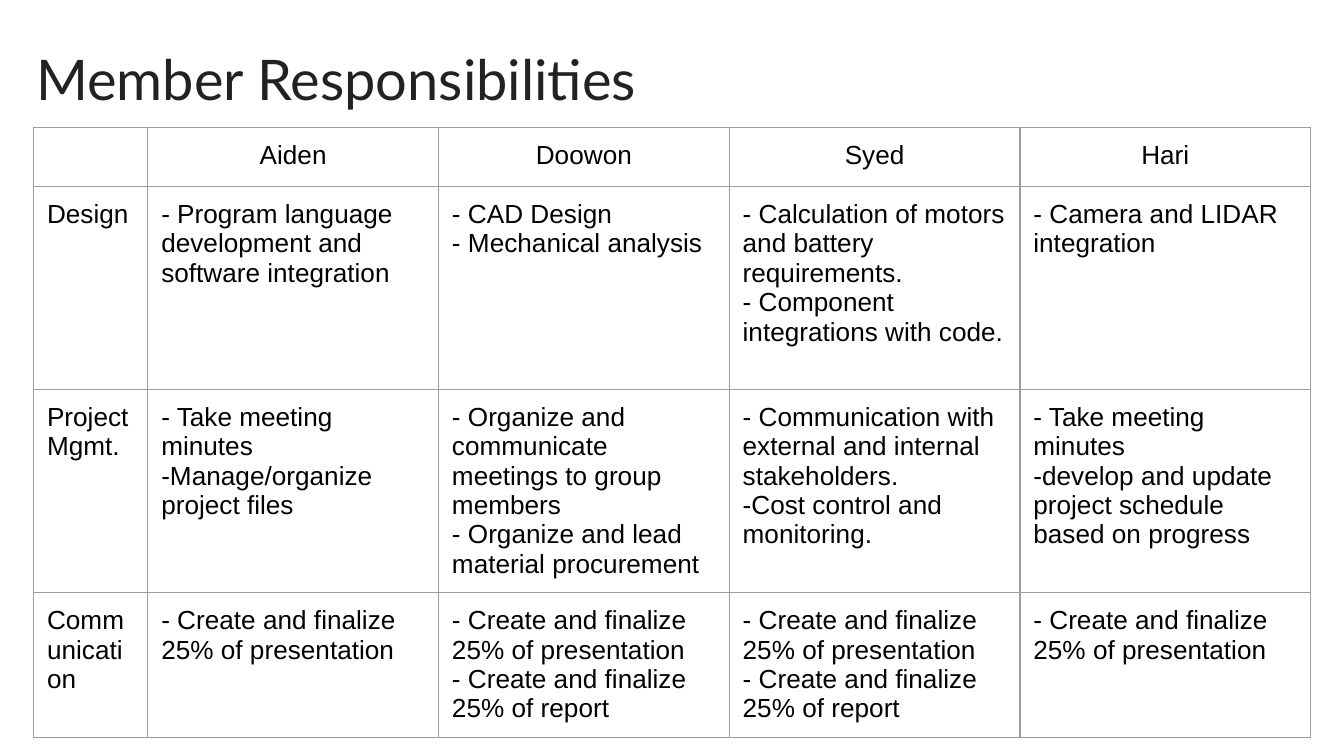
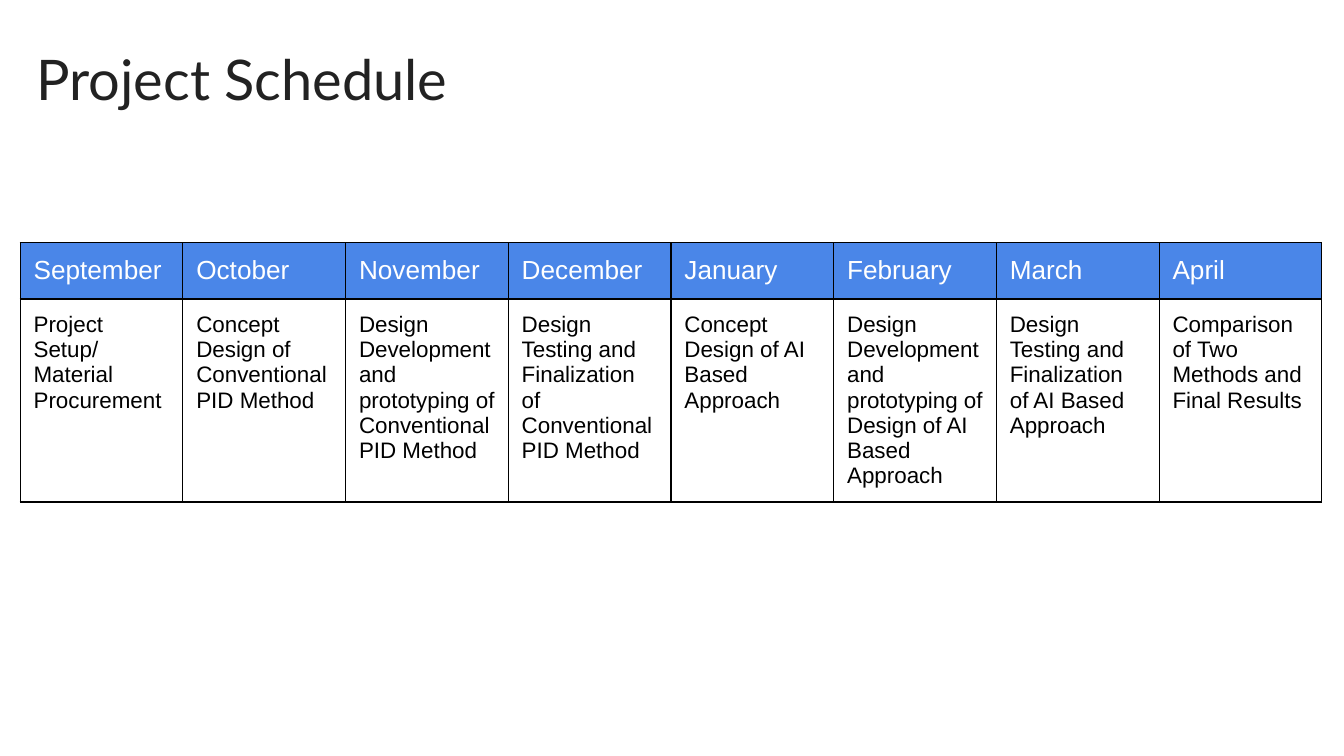
from dataclasses import dataclass

from lxml.etree import SubElement
from pptx import Presentation
from pptx.dml.color import RGBColor as RGB
from pptx.enum.text import MSO_ANCHOR as Anchor, MSO_AUTO_SIZE as AutoSize, PP_ALIGN as Align
from pptx.oxml import parse_xml
from pptx.oxml.ns import nsdecls, qn
from pptx.util import Emu, Inches, Pt


# Colours, fonts and type sizes
@dataclass(frozen=True)
class Theme:
    title_font: str = "Lato"
    body_font: str = "Arial"
    title_size: int = 30
    cell_size: int = 14
    small_size: int = 12
    title_color: str = "222222"
    ink: str = "000000"
    paper: str = "FFFFFF"
    accent: str = "4A86E8"
    rule: str = "9E9E9E"
    rule_width: float = 0.75
    inset: float = 0.1


@dataclass(frozen=True)
class CellStyle:
    size: int
    color: str
    fill: str = ""
    align: Align = Align.LEFT


# The slide is a grid of 100 columns by 56.25 square rows
WIDTH, HEIGHT = Inches(10), Inches(5.625)
UNIT = WIDTH / 100


def grid(n):
    return Emu(round(n * UNIT))


class Deck:
    def __init__(self, theme):
        self.theme = theme
        self.prs = Presentation()
        self.prs.slide_width, self.prs.slide_height = WIDTH, HEIGHT
        self.slide = None

    def add_slide(self, title):
        self.slide = self.prs.slides.add_slide(self.prs.slide_layouts[5])
        self.title(title)

    def title(self, text):
        t, sp = self.theme, self.slide.shapes.title
        sp.left, sp.top, sp.width, sp.height = map(grid, (1.7, 2.3, 75.9, 7.2))
        tf = sp.text_frame
        tf.text = text
        tf.word_wrap = True
        tf.auto_size = AutoSize.NONE
        tf.vertical_anchor = Anchor.TOP
        self.margins(tf, "")
        self.format(tf, t.title_font, t.title_size, t.title_color, Align.LEFT)

    def margins(self, target, prefix):
        for side in ("left", "top", "right", "bottom"):
            setattr(target, f"{prefix}margin_{side}", Inches(self.theme.inset))

    def format(self, tf, font, size, color, align):
        for p in tf.paragraphs:
            p.alignment = align
            for r in p.runs:
                r.font.name, r.font.size = font, Pt(size)
                r.font.color.rgb = RGB.from_string(color)
            if not p.runs:
                # An empty cell keeps the type size, so its row stays low
                p._p.get_or_add_endParaRPr().set("sz", str(size * 100))

    def table(self, left, top, widths, heights, rows, head, body, border):
        shape = self.slide.shapes.add_table(
            len(rows), len(widths), grid(left), grid(top),
            grid(sum(widths)), grid(sum(heights)))
        tbl = shape.table
        tbl.first_row = tbl.horz_banding = False
        for col, width in zip(tbl.columns, widths):
            col.width = grid(width)
        for i, (row, height) in enumerate(zip(tbl.rows, heights)):
            row.height = grid(height)
            for cell, text in zip(row.cells, rows[i]):
                self.cell(cell, text, body if i else head, border)

    def cell(self, cell, text, style, border):
        self.margins(cell, "")
        cell.text_frame.text = text
        self.format(cell.text_frame, self.theme.body_font, style.size, style.color, style.align)
        if style.fill:
            cell.fill.solid()
            cell.fill.fore_color.rgb = RGB.from_string(style.fill)
        else:
            cell.fill.background()
        # Borders come before the fill in the cell properties
        tc_pr = cell._tc.get_or_add_tcPr()
        for i, side in enumerate("LRTB"):
            ln = parse_xml(f'<a:ln{side} {nsdecls("a")} w="{Pt(self.theme.rule_width)}"/>')
            fill = SubElement(ln, qn("a:solidFill"))
            SubElement(fill, qn("a:srgbClr"), val=border)
            tc_pr.insert(i, ln)


# Content
PRESENTATION = "- Create and finalize 25% of presentation"
BOTH = PRESENTATION + "\n- Create and finalize 25% of report"

RESPONSIBILITIES = [
    ["", "Aiden", "Doowon", "Syed", "Hari"],
    ["Design",
     "- Program language development and software integration",
     "- CAD Design\n- Mechanical analysis",
     "- Calculation of motors and battery requirements.\n"
     "- Component integrations with code.",
     "- Camera and LIDAR integration"],
    ["Project Mgmt.",
     "- Take meeting minutes\n-Manage/organize project files",
     "- Organize and communicate meetings to group members\n"
     "- Organize and lead material procurement",
     "- Communication with external and internal stakeholders.\n"
     "-Cost control and monitoring.",
     "- Take meeting minutes\n"
     "-develop and update project schedule based on progress"],
    ["Communication", PRESENTATION, BOTH, BOTH, PRESENTATION],
]

SCHEDULE = {
    "September": "Project Setup/ Material Procurement",
    "October": "Concept Design of Conventional PID Method",
    "November": "Design Development and prototyping of Conventional PID Method",
    "December": "Design Testing and Finalization of Conventional PID Method",
    "January": "Concept Design of AI Based Approach",
    "February": "Design Development and prototyping of Design of AI Based Approach",
    "March": "Design Testing and Finalization of AI Based Approach",
    "April": "Comparison of Two Methods and Final Results",
}


def main():
    theme = Theme()
    deck = Deck(theme)

    # Member responsibilities
    deck.add_slide("Member Responsibilities")
    deck.table(2.5, 9.5, [8.5] + [21.63] * 4, [4.3, 15.1, 15.1, 10.8], RESPONSIBILITIES,
               head=CellStyle(theme.cell_size, theme.ink, align=Align.CENTER),
               body=CellStyle(theme.cell_size, theme.ink),
               border=theme.rule)

    # Project schedule, one column a month
    deck.add_slide("Project Schedule")
    deck.table(1.5, 18.05, [12.11] * len(SCHEDULE), [4.2, 15.1],
               [list(SCHEDULE), list(SCHEDULE.values())],
               head=CellStyle(theme.cell_size, theme.paper, theme.accent),
               body=CellStyle(theme.small_size, theme.ink),
               border=theme.ink)

    deck.prs.save("out.pptx")


if __name__ == "__main__":
    main()
